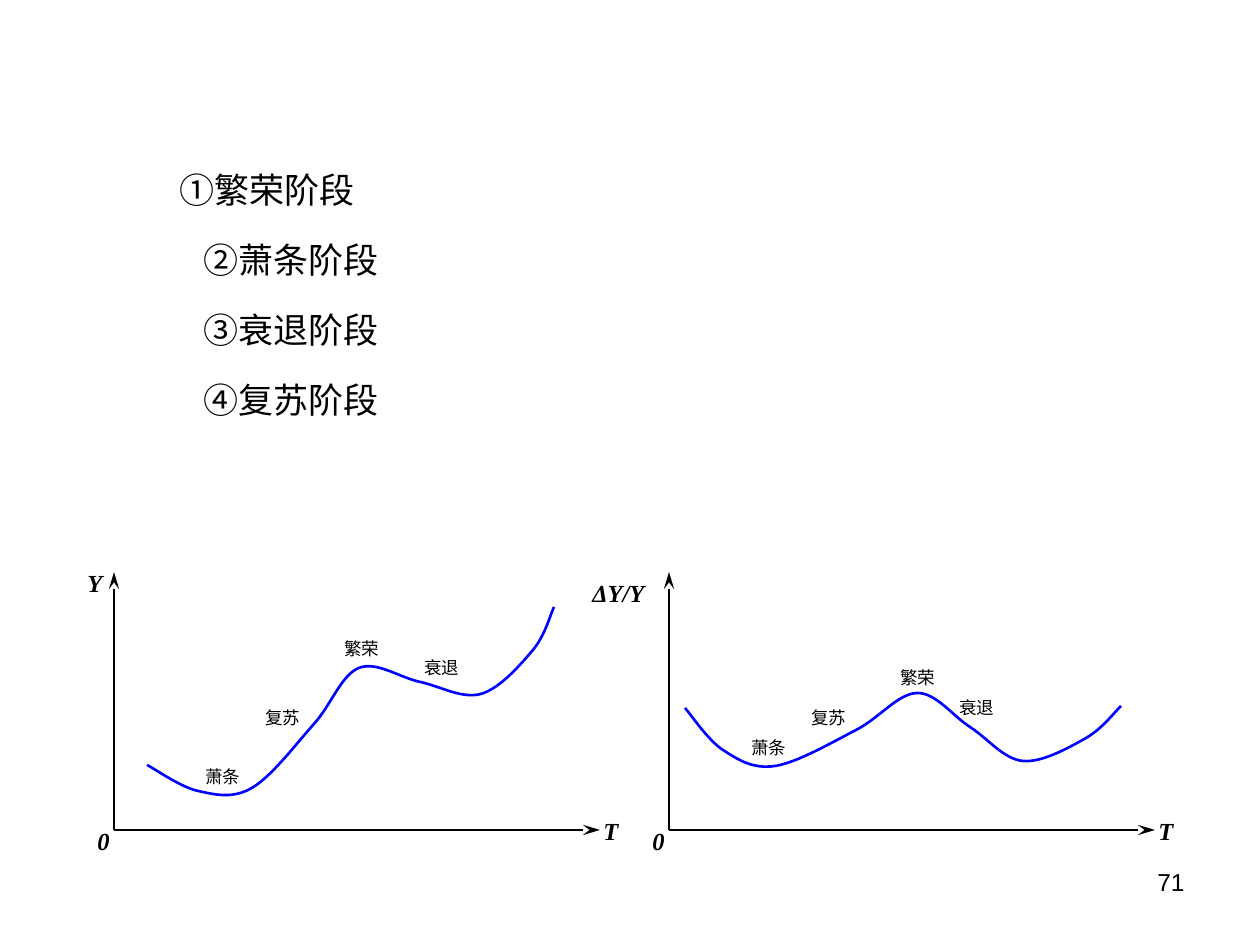
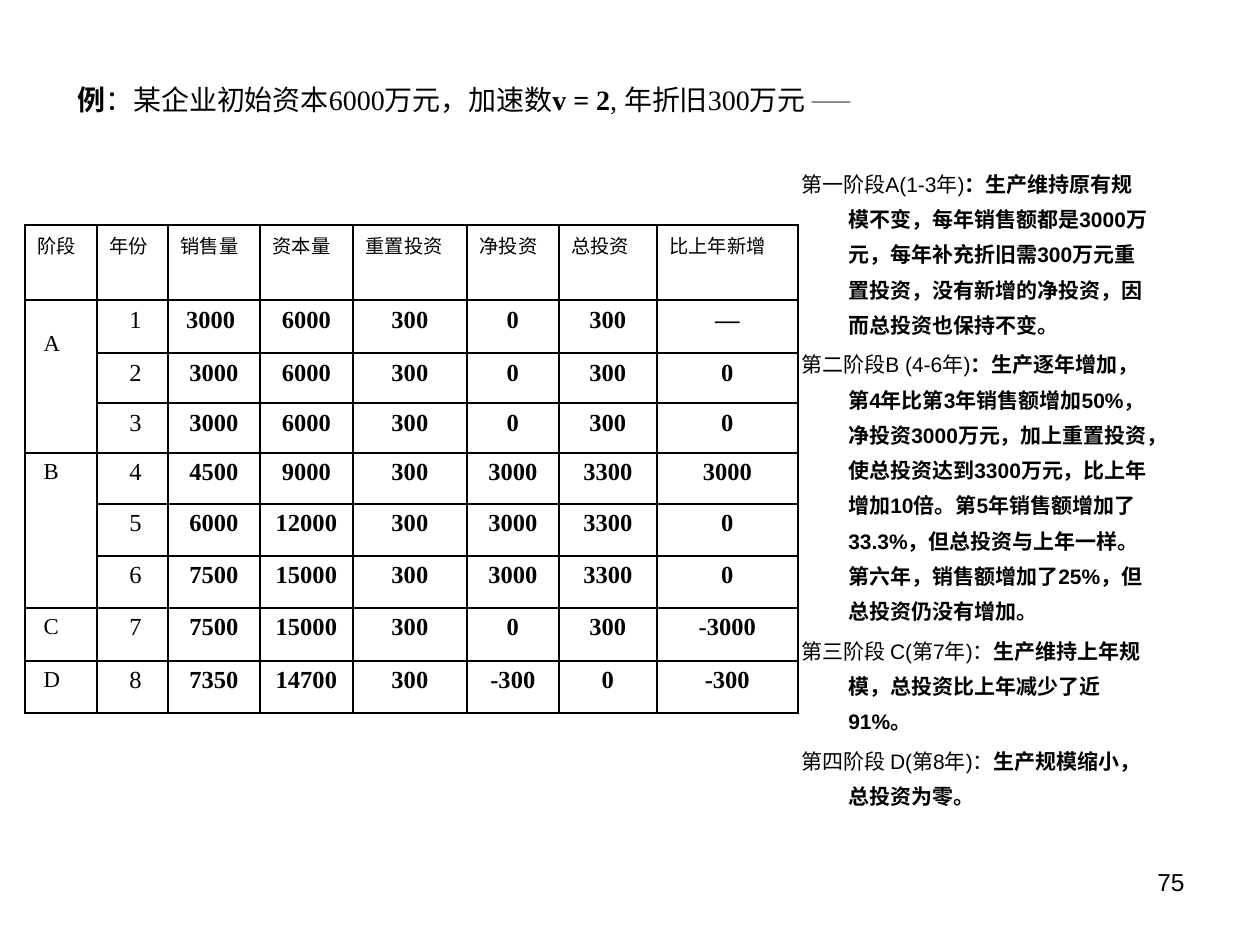
from lxml import etree
from pptx import Presentation
from pptx.dml.color import RGBColor
from pptx.enum.shapes import MSO_CONNECTOR
from pptx.enum.text import MSO_ANCHOR, PP_ALIGN
from pptx.oxml import parse_xml
from pptx.oxml.ns import nsdecls, qn
from pptx.util import Inches, Pt

LEFT, CENTER, RIGHT = PP_ALIGN.LEFT, PP_ALIGN.CENTER, PP_ALIGN.RIGHT
MIDDLE = MSO_ANCHOR.MIDDLE
STRAIGHT = MSO_CONNECTOR.STRAIGHT
SANS, SERIF = "Arial", "Times New Roman"
COLORS = {"ink": "000000", "curve": "0000FF"}
SCALE = 914400 / 126

PHASES = ["①繁荣阶段", "②萧条阶段", "③衰退阶段", "④复苏阶段"]
OUTPUT_CURVE = [(33, 193), (84, 219), (138, 216), (200, 152), (245, 96),
                (306, 110), (367, 122), (419, 78), (440, 35)]
OUTPUT_LABELS = [("萧条", 79, 188), ("复苏", 139, 129),
                 ("衰退", 298, 79), ("繁荣", 218, 60)]
GROWTH_CURVE = [(16, 136), (54, 178), (106, 194), (187, 158), (248, 121),
                (301, 155), (354, 189), (417, 166), (452, 134)]
GROWTH_LABELS = [("萧条", 70, 159), ("复苏", 130, 129),
                 ("繁荣", 219, 89), ("衰退", 278, 119)]

TITLE_RUNS = [("例", True, 16), ("：某企业初始资本6000万元，加速数", False, 16),
              ("v = 2", True, 16), (", 年折旧300万元", False, 16),
              (" ——", False, 12)]
NOTES = [
    ("第一阶段A(1-3年)",
     "：生产维持原有规模不变，每年销售额都是3000万元，每年补充折旧需300万元"
     "重置投资，没有新增的净投资，因而总投资也保持不变。"),
    ("第二阶段B (4-6年)",
     "：生产逐年增加，第4年比第3年销售额增加50%，净投资3000万元，加上重置投资，"
     "使总投资达到3300万元，比上年增加10倍。第5年销售额增加了33.3%，但总投资与"
     "上年一样。第六年，销售额增加了25%，但总投资仍没有增加。"),
    ("第三阶段 C(第7年)：", "生产维持上年规模，总投资比上年减少了近91%。"),
    ("第四阶段 D(第8年)：", "生产规模缩小，总投资为零。"),
]
COLUMN_WIDTHS = [72, 71, 92, 93, 114, 92, 98, 141]
ROW_HEIGHTS = [75, 53, 50, 50, 51, 52, 52, 53, 52]
INVESTMENT = [
    ["阶段", "年份", "销售量", "资本量", "重置投资", "净投资", "总投资", "比上年新增"],
    ["A", "1", "3000", "6000", "300", "0", "300", "—"],
    ["", "2", "3000", "6000", "300", "0", "300", "0"],
    ["", "3", "3000", "6000", "300", "0", "300", "0"],
    ["B", "4", "4500", "9000", "300", "3000", "3300", "3000"],
    ["", "5", "6000", "12000", "300", "3000", "3300", "0"],
    ["", "6", "7500", "15000", "300", "3000", "3300", "0"],
    ["C", "7", "7500", "15000", "300", "0", "300", "-3000"],
    ["D", "8", "7350", "14700", "300", "-300", "0", "-300"],
]
STAGE_SPANS = [(1, 3), (4, 6)]


def px(n):
    """Turn px into EMU."""
    return round(n * SCALE)


def color(name):
    """Look up a palette colour."""
    return RGBColor.from_string(COLORS[name])


def set_font(font, name, size, bold=None, italic=None):
    """Format a paragraph or run font."""
    font.name, font.size = name, Pt(size)
    font.bold, font.italic = bold, italic
    font.color.rgb = color("ink")


def set_indent(p, left, first=0):
    """Set the left margin and first-line indent of a paragraph."""
    pPr = p._p.get_or_add_pPr()
    pPr.set("marL", str(px(left)))
    pPr.set("indent", str(px(first)))


def add_box(s, x, y, w, h):
    """Add a wrapping text box and return its text frame."""
    tf = s.shapes.add_textbox(px(x), px(y), px(w), px(h)).text_frame
    tf.word_wrap = True
    return tf


def add_label(s, text, x, y, w, h, name, size, align=LEFT, **style):
    """Add a one-paragraph text box."""
    p = add_box(s, x, y, w, h).paragraphs[0]
    p.text, p.alignment = text, align
    set_font(p.font, name, size, **style)


def add_paragraph(tf, index, spacing, before):
    """Return the paragraph at index with its line and paragraph spacing."""
    p = tf.add_paragraph() if index else tf.paragraphs[0]
    p.line_spacing = spacing
    if index:
        p.space_before = Pt(before)
    return p


def add_page_number(s, number):
    """Place the page number at the lower right."""
    add_label(s, str(number), 903, 861, 294, 66, SANS, 14, RIGHT)


def add_axis(s, x1, y1, x2, y2, end):
    """Draw an axis with a long stealth arrowhead at the named end."""
    axis = s.shapes.add_connector(STRAIGHT, px(x1), px(y1), px(x2), px(y2))
    axis.line.color.rgb, axis.line.width = color("ink"), Pt(0.75)
    etree.SubElement(axis.line._get_or_add_ln(), qn(end),
                     type="stealth", w="med", len="lg")
    etree.SubElement(axis._element.spPr, qn("a:effectLst"))


def spline(points):
    """Return two control points and an end point for each curve segment."""
    padded = [points[0], *points, points[-1]]
    result = []
    for a, b, c, d in zip(padded, padded[1:], padded[2:], padded[3:]):
        result.append(tuple(q + (r - p) / 6 for p, q, r in zip(a, b, c)))
        result.append(tuple(r - (u - q) / 6 for q, r, u in zip(b, c, d)))
        result.append(c)
    return result


def add_curve(s, x, y, points):
    """Draw a smooth open curve relative to x, y."""
    start, *rest = [(px(x + dx), px(y + dy))
                    for dx, dy in [points[0], *spline(points)]]
    builder = s.shapes.build_freeform(*start)
    builder.add_line_segments(rest, close=False)
    sp = builder.convert_to_shape()
    lines = list(sp._element.iter(qn("a:lnTo")))
    for group in zip(lines[::3], lines[1::3], lines[2::3]):
        bezier = etree.Element(qn("a:cubicBezTo"))
        group[0].addprevious(bezier)
        for line in group:
            bezier.append(line[0])
            line.getparent().remove(line)
    sp.shadow.inherit = False
    sp.fill.background()
    sp.line.color.rgb, sp.line.width = color("curve"), Pt(1.5)


def add_cycle_chart(s, x, y, w, h, y_name, points, labels):
    """Draw one business-cycle diagram in its axis box."""
    add_axis(s, x, y, x, y + h, "a:headEnd")
    add_axis(s, x, y + h, x + w, y + h, "a:tailEnd")
    add_curve(s, x, y, points)
    for text, dx, dy in labels:
        add_label(s, text, x + dx, y + dy, 66, 34, SERIF, 10)
    names = [y_name, ("T", w - 9, h - 20, 53), ("0", -29, h - 10, 45)]
    for text, dx, dy, width in names:
        add_label(s, text, x + dx, y + dy, width, 42, SERIF, 14, bold=True, italic=True)


def add_phases(s, x, y, w, h):
    """List the four phases, the first set further left."""
    tf = add_box(s, x, y, w, h)
    for i, text in enumerate(PHASES):
        p = add_paragraph(tf, i, 1.5, 4)
        p.text = text
        set_indent(p, 126 if i else 102)
        set_font(p.font, SANS, 20)


def add_title(s, x, y, w, h):
    """Place and fill the title placeholder."""
    title = s.shapes.title
    title.left, title.top, title.width, title.height = map(px, (x, y, w, h))
    title.text_frame.vertical_anchor = MIDDLE
    p = title.text_frame.paragraphs[0]
    p.alignment = LEFT
    for text, bold, size in TITLE_RUNS:
        r = p.add_run()
        r.text = text
        set_font(r.font, SERIF, size, bold)


def add_notes(s, x, y, w, h):
    """Write the stage comments with hanging indents."""
    tf = add_box(s, x, y, w, h)
    for i, parts in enumerate(NOTES):
        p = add_paragraph(tf, i, 1.4, 2.4)
        set_indent(p, 47, -47)
        set_font(p.font, SANS, 12)
        for text, bold in zip(parts, (False, True)):
            r = p.add_run()
            r.text, r.font.bold = text, bold


def set_borders(cell):
    """Give a cell thin borders and no fill."""
    tcPr = cell._tc.get_or_add_tcPr()
    for side in ("lnL", "lnR", "lnT", "lnB"):
        tcPr.append(parse_xml(
            f'<a:{side} {nsdecls("a")} w="12700"><a:solidFill>'
            f'<a:srgbClr val="{COLORS["ink"]}"/></a:solidFill></a:{side}>'))
    cell.fill.background()


def add_investment_table(s, x, y):
    """Build the table of investment by stage and year."""
    frame = s.shapes.add_table(len(ROW_HEIGHTS), len(COLUMN_WIDTHS), px(x), px(y),
                               px(sum(COLUMN_WIDTHS)), px(sum(ROW_HEIGHTS)))
    table = frame.table
    table.first_row = table.horz_banding = False
    for column, width in zip(table.columns, COLUMN_WIDTHS):
        column.width = px(width)
    for row, height in zip(table.rows, ROW_HEIGHTS):
        row.height = px(height)
    for i, values in enumerate(INVESTMENT):
        for j, text in enumerate(values):
            cell = table.cell(i, j)
            set_borders(cell)
            p = cell.text_frame.paragraphs[0]
            p.text = text
            if i == 0:
                set_font(p.font, SERIF, 11, False)
                continue
            if j < 2:
                set_indent(p, 6)
            p.alignment = CENTER if j else LEFT
            set_font(p.font, SERIF, 14 if j else 13, j > 1)
    for first, last in STAGE_SPANS:
        table.cell(first, 0).merge(table.cell(last, 0))
    table.cell(1, 0).margin_top = px(31)
    table.cell(1, 2).margin_right = px(19)


def build_cycle_slide(prs):
    """Build the slide on the phases of the business cycle."""
    s = prs.slides.add_slide(prs.slide_layouts[6])
    add_page_number(s, 71)
    add_phases(s, 65, 141, 1134, 343)
    add_cycle_chart(s, 114, 572, 486, 258, ("Y", -39, -10, 49),
                    OUTPUT_CURVE, OUTPUT_LABELS)
    add_cycle_chart(s, 669, 572, 486, 258, ("ΔY/Y", -89, 0, 89),
                    GROWTH_CURVE, GROWTH_LABELS)


def build_example_slide(prs):
    """Build the worked example of the accelerator."""
    s = prs.slides.add_slide(prs.slide_layouts[5])
    add_page_number(s, 75)
    add_title(s, 65, 56, 1134, 87)
    add_notes(s, 789, 155, 377, 684)
    add_investment_table(s, 25, 225)


def main():
    """Create and save the presentation."""
    prs = Presentation()
    prs.slide_width, prs.slide_height = Inches(10), Inches(7.5)
    build_cycle_slide(prs)
    build_example_slide(prs)
    prs.save("out.pptx")


if __name__ == "__main__":
    main()
